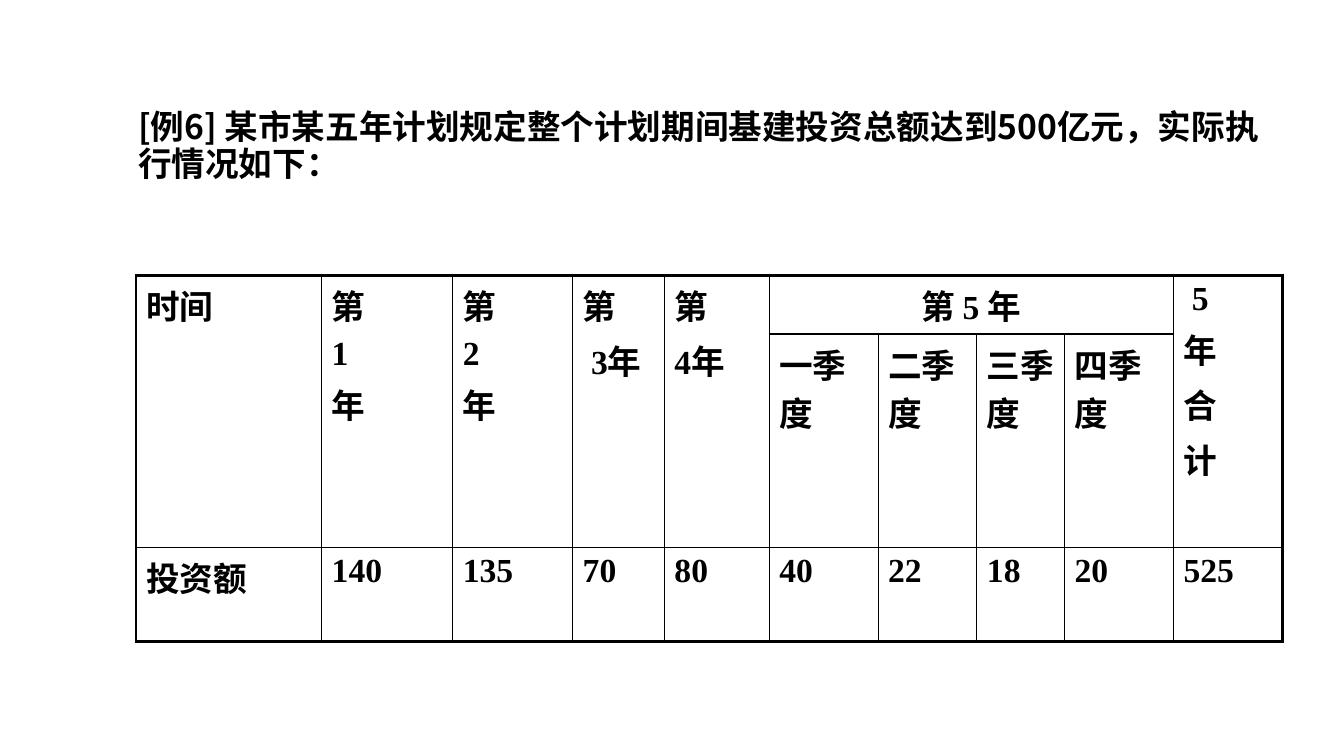
"""Build a slide with a worked example and its table of yearly investment."""
from lxml.etree import SubElement
from pptx import Presentation
from pptx.dml.color import RGBColor
from pptx.enum.text import MSO_ANCHOR, MSO_AUTO_SIZE, PP_ALIGN
from pptx.oxml.ns import qn
from pptx.util import Inches, Pt

THEME = {
    "ink": "000000", "size": 24, "sans": "Noto Sans CJK SC",
    "serif": "Times New Roman", "gap": 4.8, "thin": 1, "thick": 2.25,
}


def style(para, face):
    """Set the look of each run in a paragraph."""
    for run in para.runs:
        look = {"name": face, "size": Pt(THEME["size"]), "bold": True}
        for key, value in look.items():
            setattr(run.font, key, value)
        run.font.color.rgb = RGBColor.from_string(THEME["ink"])
        SubElement(run.font._element, qn("a:ea"), typeface=THEME["sans"])


def edge(cell, side, width):
    """Draw one border of a cell."""
    line = SubElement(cell._tc.get_or_add_tcPr(), qn(f"a:ln{side}"), w=str(Pt(width)))
    fill = SubElement(line, qn("a:solidFill"))
    SubElement(fill, qn("a:srgbClr"), val=THEME["ink"])


deck = Presentation()
deck.slide_width, deck.slide_height = Inches(13.33), Inches(7.5)
slide = deck.slides.add_slide(deck.slide_layouts[5])

title = slide.shapes.title
place = {"left": 1.27, "top": 0.92, "width": 11.35, "height": 1.08}
for key, value in place.items():
    setattr(title, key, Inches(value))
frame = title.text_frame
frame.text = "[例6] 某市某五年计划规定整个计划期间基建投资总额达到500亿元，实际执行情况如下："
form = {"word_wrap": True, "auto_size": MSO_AUTO_SIZE.NONE,
        "vertical_anchor": MSO_ANCHOR.MIDDLE}
for key, value in form.items():
    setattr(frame, key, value)
head = frame.paragraphs[0]
head.alignment, head.line_spacing = PP_ALIGN.LEFT, 0.9
style(head, THEME["sans"])

widths = [1.84, 1.3, 1.19, 0.91, 1.04, 1.08, 0.98, 0.87, 1.08, 1.08]
heights = [0.53, 0.35, 0.93]
rows = [
    ["时间", "第\n1\n年", "第\n2\n年", "第\n 3年", "第\n4年",
     "第 5 年", "", "", "", " 5\n年\n合\n计"],
    ["", "", "", "", "", "一季度", "二季度", "三季度", "四季度", ""],
    ["投资额", "140", "135", "70", "80", "40", "22", "18", "20", "525"],
]
last, end = len(heights) - 1, len(widths) - 1
holder = slide.shapes.add_table(
    len(heights), len(widths), Inches(1.35), Inches(2.73), Inches(11.38), Inches(2.87))
table = holder.table
table.first_row = table.horz_banding = False
for col, width in zip(table.columns, widths):
    col.width = Inches(width)
for row, height in zip(table.rows, heights):
    row.height = Inches(height)
holder.height = Inches(2.87)

for c in [0, 1, 2, 3, 4, end]:
    table.cell(0, c).merge(table.cell(1, c))
table.cell(0, 5).merge(table.cell(0, 8))

for r, texts in enumerate(rows):
    for c, text in enumerate(texts):
        cell = table.cell(r, c)
        outer = {"L": c == 0, "R": c == end, "T": r == 0, "B": r == last}
        for side, bold in outer.items():
            edge(cell, side, THEME["thick" if bold else "thin"])
        cell.fill.background()
        if not text:
            continue
        cell.text = text
        for i, para in enumerate(cell.text_frame.paragraphs):
            if i:
                para.space_before = Pt(THEME["gap"])
            style(para, THEME["serif"])
table.cell(0, 5).text_frame.paragraphs[0].alignment = PP_ALIGN.CENTER

deck.save("out.pptx")
